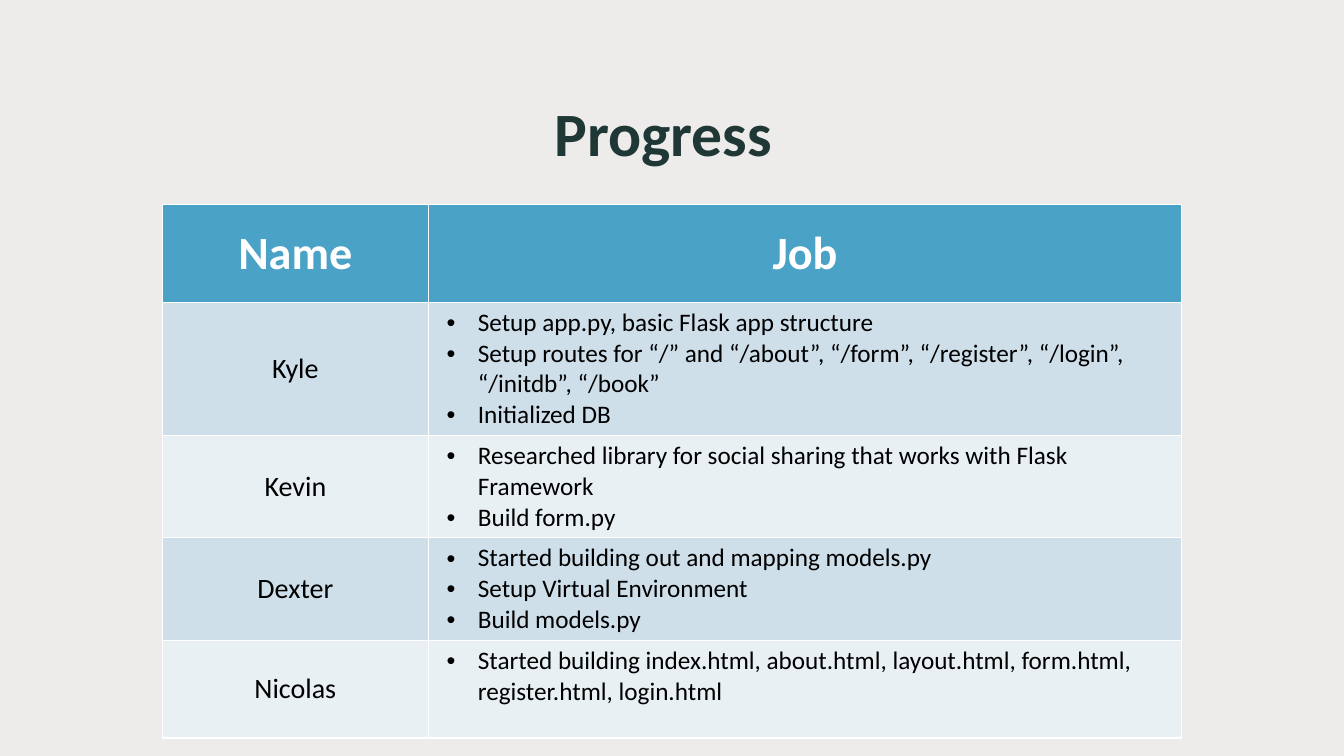
"""Build the team progress slide: a title above a table of names and jobs."""
from dataclasses import dataclass

from lxml.etree import SubElement
from pptx import Presentation
from pptx.dml.color import RGBColor
from pptx.enum.shapes import MSO_SHAPE as Shape
from pptx.enum.text import MSO_ANCHOR as Anchor, MSO_AUTO_SIZE as AutoSize, PP_ALIGN as Align
from pptx.oxml.ns import qn
from pptx.util import Inches, Pt


@dataclass(frozen=True)
class Theme:
    font: str = "Calibri"
    tint: str = "E8E4E2"
    tint_opacity: int = 70
    title: str = "203835"
    header: str = "4AA2C6"
    bands: tuple = ("CFDFEA", "E8F0F4")
    white: str = "FFFFFF"
    body: str = "000000"
    title_size: int = 44
    header_size: int = 33
    name_size: int = 20
    job_size: int = 18
    border_width: float = 0.96


def write(paragraph, text, size, color, bold=False):
    run = paragraph.add_run()
    run.text = text
    run.font.name = theme.font
    run.font.size = Pt(size)
    run.font.bold = bold
    run.font.color.rgb = RGBColor.from_string(color)


def format_cell(cell, fill):
    cell.margin_left = cell.margin_right = Inches(0.18)
    cell.margin_top = cell.margin_bottom = Inches(0.05)
    properties = cell._tc.get_or_add_tcPr()
    for side in ("a:lnL", "a:lnR", "a:lnT", "a:lnB"):
        border = SubElement(properties, qn(side), w=str(Pt(theme.border_width)))
        SubElement(SubElement(border, qn("a:solidFill")), qn("a:srgbClr"), val=theme.white)
    cell.fill.solid()
    cell.fill.fore_color.rgb = RGBColor.from_string(fill)


theme = Theme()
headings = ("Name", "Job")
jobs_by_name = {
    "Kyle": (
        "Setup app.py, basic Flask app structure",
        "Setup routes for “/” and “/about”, “/form”, “/register”, “/login”, “/initdb”, “/book”",
        "Initialized DB",
    ),
    "Kevin": (
        "Researched library for social sharing that works with Flask Framework",
        "Build form.py",
    ),
    "Dexter": (
        "Started building out and mapping models.py",
        "Setup Virtual Environment",
        "Build models.py",
    ),
    "Nicolas": (
        "Started building index.html, about.html, layout.html, form.html, register.html, login.html",
    ),
}

deck = Presentation()
deck.slide_width, deck.slide_height = Inches(13.33), Inches(7.5)
slide = deck.slides.add_slide(deck.slide_layouts[5])

for color, opacity in ((theme.white, 100), (theme.tint, theme.tint_opacity)):
    backdrop = slide.shapes.add_shape(Shape.RECTANGLE, 0, 0, deck.slide_width, deck.slide_height)
    backdrop.shadow.inherit = False
    backdrop.line.fill.background()
    backdrop.fill.solid()
    backdrop.fill.fore_color.rgb = RGBColor.from_string(color)
    if opacity < 100:
        backdrop_color = backdrop._element.spPr.find(qn("a:solidFill")).find(qn("a:srgbClr"))
        SubElement(backdrop_color, qn("a:alpha"), val=str(opacity * 1000))

title = slide.shapes.title
slide.shapes._spTree.append(title._element)
title.left, title.top = Inches(0.92), Inches(0.61)
title.width, title.height = Inches(11.32), Inches(1.4)
title.text_frame.auto_size = AutoSize.NONE
title.text_frame.vertical_anchor = Anchor.MIDDLE
title.text_frame.paragraphs[0].alignment = Align.CENTER
write(title.text_frame.paragraphs[0], "Progress", theme.title_size, theme.title, bold=True)

column_widths = (2.64, 7.47)
row_height = 0.97
row_count = len(jobs_by_name) + 1
progress = slide.shapes.add_table(
    row_count, len(headings), Inches(1.61), Inches(2.03),
    Inches(sum(column_widths)), Inches(row_height * row_count),
).table
for column, width in zip(progress.columns, column_widths):
    column.width = Inches(width)
for row in progress.rows:
    row.height = Inches(row_height)

for index, heading in enumerate(headings):
    heading_cell = progress.cell(0, index)
    format_cell(heading_cell, theme.header)
    heading_cell.vertical_anchor = Anchor.MIDDLE
    heading_line = heading_cell.text_frame.paragraphs[0]
    heading_line.alignment = Align.CENTER
    write(heading_line, heading, theme.header_size, theme.white, bold=True)

for index, (name, jobs) in enumerate(jobs_by_name.items()):
    name_cell, jobs_cell = progress.cell(index + 1, 0), progress.cell(index + 1, 1)
    for cell in (name_cell, jobs_cell):
        format_cell(cell, theme.bands[index % 2])
    name_cell.vertical_anchor = Anchor.MIDDLE
    name_line = name_cell.text_frame.paragraphs[0]
    name_line.alignment = Align.CENTER
    write(name_line, name, theme.name_size, theme.body)

    for position, job in enumerate(jobs):
        job_lines = jobs_cell.text_frame
        job_line = job_lines.add_paragraph() if position else job_lines.paragraphs[0]
        bullet = job_line._p.get_or_add_pPr()
        bullet.set("marL", str(Inches(0.31)))
        bullet.set("indent", str(-Inches(0.31)))
        SubElement(SubElement(bullet, qn("a:buClr")), qn("a:srgbClr"), val=theme.body)
        SubElement(bullet, qn("a:buFont"), typeface="Arial")
        SubElement(bullet, qn("a:buChar"), char="•")
        write(job_line, job, theme.job_size, theme.body)

deck.save("out.pptx")
